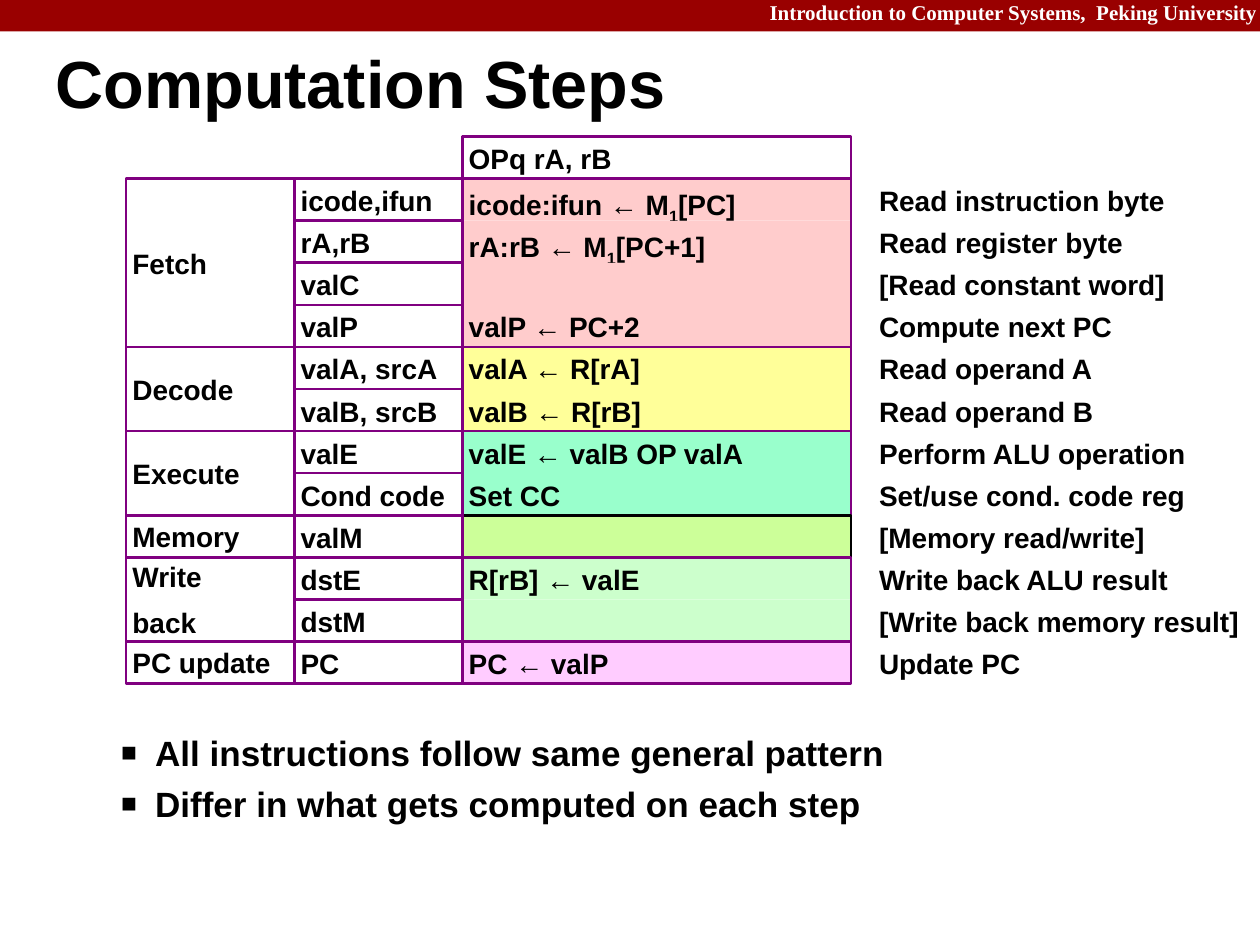
"""Build the slide on the computation steps of an OPq instruction."""
from lxml.etree import SubElement
from pptx import Presentation
from pptx.dml.color import RGBColor
from pptx.enum.shapes import MSO_SHAPE
from pptx.enum.text import MSO_ANCHOR, MSO_AUTO_SIZE, PP_ALIGN
from pptx.oxml.ns import qn
from pptx.util import Inches, Pt

BLACK = RGBColor(0x00, 0x00, 0x00)
WHITE = RGBColor(0xFF, 0xFF, 0xFF)
RED = RGBColor(0x99, 0x00, 0x00)
PURPLE = RGBColor(0x80, 0x00, 0x80)
PINK = RGBColor(0xFF, 0xCC, 0xCC)
YELLOW = RGBColor(0xFF, 0xFF, 0x99)
AQUA = RGBColor(0x99, 0xFF, 0xCC)
LIME = RGBColor(0xCC, 0xFF, 0x99)
MINT = RGBColor(0xCC, 0xFF, 0xCC)
LILAC = RGBColor(0xFF, 0xCC, 0xFF)

COURSE = "Introduction to Computer Systems,  Peking University"
TITLE = "Computation Steps"
HEAD = "OPq rA, rB"
STAGES = [
    (["Fetch"], PINK, PURPLE, [
        ("icode,ifun", "icode:ifun ← M_1_[PC]", "Read instruction byte"),
        ("rA,rB", "rA:rB ← M_1_[PC+1]", "Read register byte"),
        ("valC", "", "[Read constant word]"),
        ("valP", "valP ← PC+2", "Compute next PC")]),
    (["Decode"], YELLOW, PURPLE, [
        ("valA, srcA", "valA ← R[rA]", "Read operand A"),
        ("valB, srcB", "valB ← R[rB]", "Read operand B")]),
    (["Execute"], AQUA, PURPLE, [
        ("valE", "valE ← valB OP valA", "Perform ALU operation"),
        ("Cond code", "Set CC", "Set/use cond. code reg")]),
    (["Memory"], LIME, BLACK, [("valM", "", "[Memory read/write]")]),
    (["Write", "back"], MINT, PURPLE, [
        ("dstE", "R[rB] ← valE", "Write back ALU result"),
        ("dstM", "", "[Write back memory result]")]),
    (["PC update"], LILAC, PURPLE, [("PC", "PC ← valP", "Update PC")]),
]
POINTS = ["All instructions follow same general pattern",
          "Differ in what gets computed on each step"]

STEP = 1 / 3
TOP = 3.25 * STEP
STAGE = (1, 4 * STEP)
KEY = (1 + 4 * STEP, 4 * STEP)
ACTION = (1 + 8 * STEP, 3.08)
NOTE = (6.92, 3.07)


def write(frame, lines, size=16, colour=BLACK, font="Arial", align=PP_ALIGN.LEFT,
          spacing=0.9, before=9, bullet=None, anchor=MSO_ANCHOR.TOP):
    """Fill a text frame; odd parts between underscores are subscripts."""
    frame.word_wrap = True
    frame.auto_size = MSO_AUTO_SIZE.NONE
    frame.vertical_anchor = anchor
    for i, line in enumerate(lines):
        para = frame.paragraphs[0] if i == 0 else frame.add_paragraph()
        if bullet:
            para.level = 1
            props = para._p.get_or_add_pPr()
            props.set("marL", str(Inches(0.81)))
            props.set("indent", str(Inches(-0.27)))
            SubElement(props, qn("a:buSzPct")).set("val", "75000")
            SubElement(props, qn("a:buChar")).set("char", bullet)
        para.alignment = align
        para.line_spacing = spacing
        para.space_before = Pt(before if i else 0)
        for k, part in enumerate(line.split("_")):
            run = para.add_run()
            run.text = part
            run.font.size = Pt(size)
            run.font.name = font
            run.font.bold = True
            run.font.color.rgb = colour
            if k % 2:
                run._r.get_or_add_rPr().set("baseline", "-25000")


def place(shape, left, top, width, height):
    """Move a shape, in inches."""
    shape.left, shape.top = Inches(left), Inches(top)
    shape.width, shape.height = Inches(width), Inches(height)


def inset(frame, left=0, top=0, right=0, bottom=0):
    """Set the margins of a text frame, in inches."""
    frame.margin_left, frame.margin_top = Inches(left), Inches(top)
    frame.margin_right, frame.margin_bottom = Inches(right), Inches(bottom)


def block(slide, fill=None, line=None):
    """Add a flat rectangle with an optional fill and outline."""
    shape = slide.shapes.add_shape(MSO_SHAPE.RECTANGLE, 0, 0, 0, 0)
    shape.shadow.inherit = False
    if fill is None:
        shape.fill.background()
    else:
        shape.fill.solid()
        shape.fill.fore_color.rgb = fill
    if line is None:
        shape.line.fill.background()
    else:
        shape.line.color.rgb = line
        shape.line.width = Pt(1.5)
    return shape


def cell(slide, col, row, lines=(), count=1, fill=None, line=None,
         anchor=MSO_ANCHOR.TOP):
    """Add one part of the grid, count rows high."""
    if fill is None and line is None:
        shape = slide.shapes.add_textbox(0, 0, 0, 0)
    else:
        shape = block(slide, fill, line)
    left, width = col
    place(shape, left, TOP + row * STEP, width, count * STEP)
    if any(lines):
        inset(shape.text_frame, 0.05, 0.07, 0.05, 0.03)
        write(shape.text_frame, lines, anchor=anchor)


def build(slide):
    """Add the grid of stages, then the column of keys."""
    cell(slide, ACTION, 0, [HEAD], line=PURPLE)
    keys = []
    first = 1
    for name, tint, edge, steps in STAGES:
        count = len(steps)
        for row, (key, action, note) in enumerate(steps, first):
            cell(slide, ACTION, row, [action], fill=tint,
                 line=edge if count == 1 else None)
            cell(slide, NOTE, row, [note])
            keys.append(key)
        if count > 1:
            cell(slide, ACTION, first, count=count, line=edge)
        cell(slide, STAGE, first, name, count=count, line=PURPLE,
             anchor=MSO_ANCHOR.MIDDLE)
        first += count
    for row, key in enumerate(keys, 1):
        cell(slide, KEY, row, [key], line=PURPLE)


def main():
    """Make the deck and save it."""
    deck = Presentation()
    deck.slide_width, deck.slide_height = Inches(9.99), Inches(7.49)
    slide = deck.slides.add_slide(deck.slide_layouts[1])

    bar = block(slide, fill=RED)
    place(bar, 0, 0, 9.99, 0.25)

    course = slide.shapes.add_textbox(0, 0, 0, 0)
    place(course, 6, 0, 3.99, 0.22)
    inset(course.text_frame, right=0.02)
    write(course.text_frame, [COURSE], size=12, colour=WHITE, font="Times New Roman",
          align=PP_ALIGN.RIGHT, anchor=MSO_ANCHOR.MIDDLE)

    title, body = slide.placeholders
    place(title, 0.44, 0.27, 9.52, 0.85)
    inset(title.text_frame)
    write(title.text_frame, [TITLE], size=38, spacing=0.87, anchor=MSO_ANCHOR.MIDDLE)

    place(body, 0.32, 5.75, 9.07, 1.28)
    inset(body.text_frame, 0.1, 0.05, 0.1, 0.05)
    write(body.text_frame, POINTS, size=20, spacing=1.0, before=5, bullet="■")

    build(slide)
    deck.save("out.pptx")


if __name__ == "__main__":
    main()
